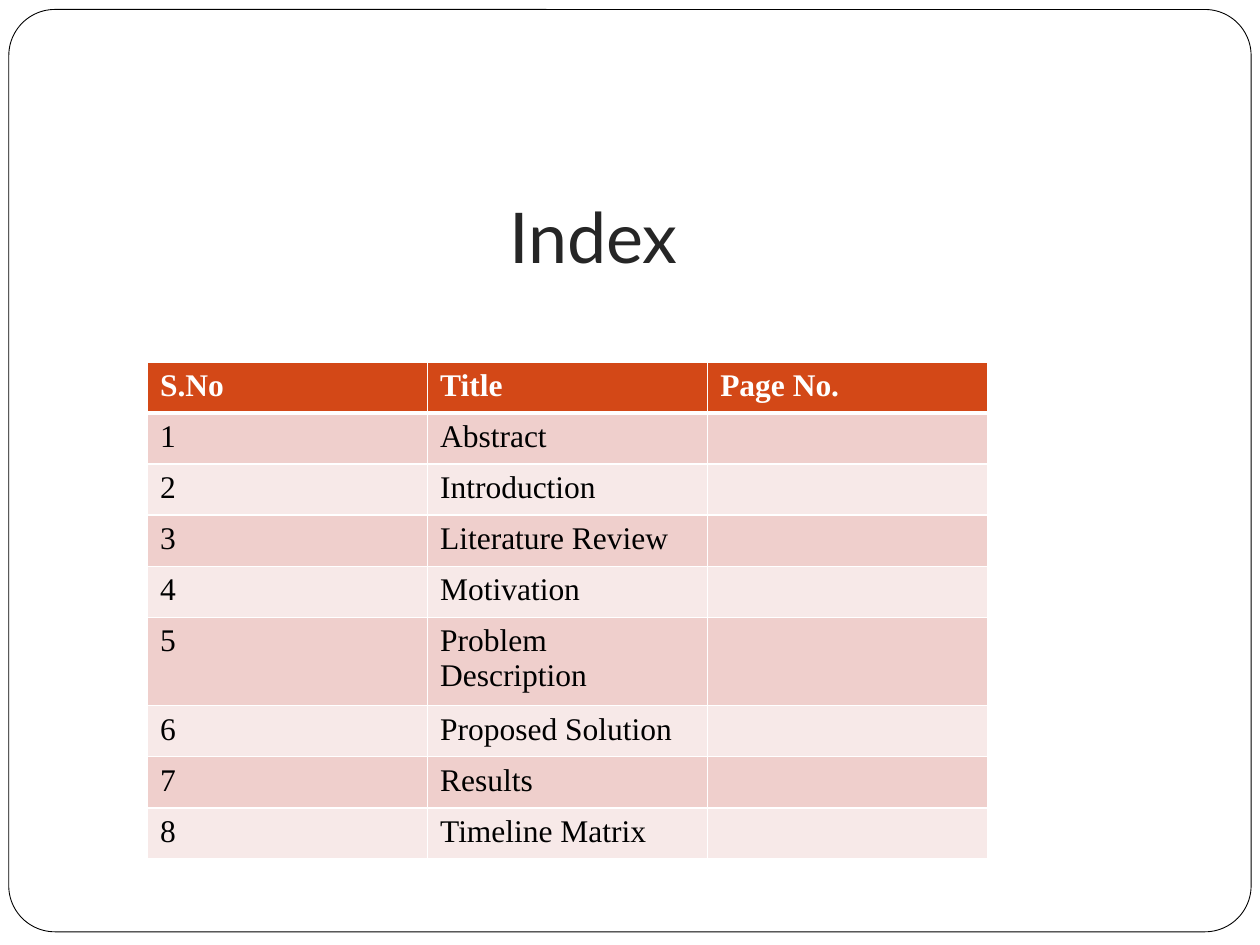
import pptx
import pptx.util
import pptx.dml.color
import pptx.enum.shapes
import pptx.enum.text
import pptx.oxml.ns
import lxml.etree

RGB = pptx.dml.color.RGBColor
WHITE = RGB(0xFF, 0xFF, 0xFF)
BLACK = RGB(0, 0, 0)
GREY = RGB(0x26, 0x26, 0x26)
RUST = RGB(0xD3, 0x48, 0x17)
ROSE = RGB(0xEF, 0xCF, 0xCC)
PALE = RGB(0xF7, 0xE9, 0xE8)

TOPICS = ["Abstract", "Introduction", "Literature Review", "Motivation",
          "Problem Description", "Proposed Solution", "Results",
          "Timeline Matrix"]


class Deck:
    head_font = "Lato"
    body_font = "Times New Roman"

    def __init__(self, wide, high):
        self.show = pptx.Presentation()
        self.show.slide_width = pptx.util.Inches(wide)
        self.show.slide_height = pptx.util.Inches(high)
        self.slide = self.show.slides.add_slide(self.show.slide_layouts[6])

    def place(self, left, top, width, height):
        """Turn shares of the slide's size into lengths."""
        wide, high = self.show.slide_width, self.show.slide_height
        return (int(left * wide), int(top * high),
                int(width * wide), int(height * high))

    def style(self, para, font, size, color, bold=False):
        for run in para.runs:
            run.font.name = font
            run.font.size = pptx.util.Pt(size)
            run.font.color.rgb = color
            run.font.bold = bold

    def frame(self, *box):
        shape = self.slide.shapes.add_shape(
            pptx.enum.shapes.MSO_SHAPE.ROUNDED_RECTANGLE, *self.place(*box))
        shape.adjustments[0] = 0.05
        shape.shadow.inherit = False
        shape.fill.solid()
        shape.fill.fore_color.rgb = WHITE
        shape.line.color.rgb = BLACK
        shape.line.width = pptx.util.Pt(0.5)

    def title(self, text, *box):
        frame = self.slide.shapes.add_textbox(*self.place(*box)).text_frame
        frame.word_wrap = True
        frame.vertical_anchor = pptx.enum.text.MSO_ANCHOR.BOTTOM
        frame.margin_bottom = pptx.util.Inches(0.1)
        frame.text = text
        para = frame.paragraphs[0]
        para.alignment = pptx.enum.text.PP_ALIGN.CENTER
        self.style(para, self.head_font, 40, GREY)

    def edge(self, cell, side, width):
        line = lxml.etree.SubElement(
            cell._tc.get_or_add_tcPr(), pptx.oxml.ns.qn("a:ln" + side),
            w=str(pptx.util.Pt(width)))
        fill = lxml.etree.SubElement(line, pptx.oxml.ns.qn("a:solidFill"))
        lxml.etree.SubElement(fill, pptx.oxml.ns.qn("a:srgbClr"),
                              val=str(WHITE))

    def table(self, rows, *box):
        table = self.slide.shapes.add_table(
            len(rows), len(rows[0]), *self.place(*box)).table
        for r, row in enumerate(rows):
            head = r == 0
            tint = RUST if head else ROSE if r % 2 else PALE
            for c, text in enumerate(row):
                cell = table.cell(r, c)
                for side in "LRTB":
                    thick = (side == "B" and head) or (side == "T" and r == 1)
                    self.edge(cell, side, 3 if thick else 1)
                cell.fill.solid()
                cell.fill.fore_color.rgb = tint
                cell.text_frame.text = text
                self.style(cell.text_frame.paragraphs[0], self.body_font, 18,
                           WHITE if head else BLACK, head)

    def save(self):
        self.show.save("out.pptx")


def main():
    deck = Deck(10, 7.5)
    deck.frame(0.007, 0.01, 0.986, 0.976)
    deck.title("Index ", 0.053, 0.14, 0.85, 0.167)
    rows = [(str(n), topic, "") for n, topic in enumerate(TOPICS, 1)]
    deck.table([("S.No", "Title", "Page No.")] + rows,
               0.117, 0.383, 0.667, 0.487)
    deck.save()


if __name__ == "__main__":
    main()
